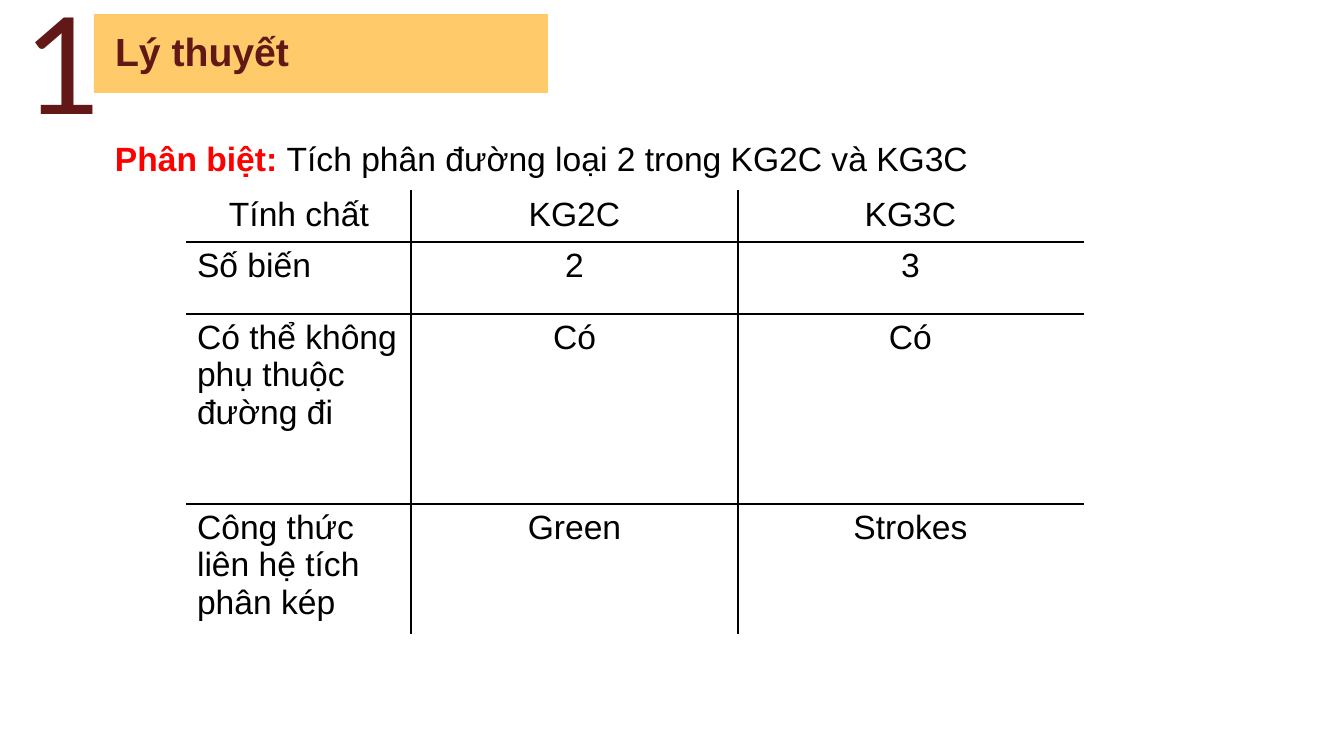
from dataclasses import dataclass

from lxml import etree
from pptx import Presentation
from pptx.dml.color import RGBColor
from pptx.enum.shapes import MSO_SHAPE
from pptx.enum.text import MSO_ANCHOR, MSO_AUTO_SIZE, PP_ALIGN
from pptx.oxml.ns import qn
from pptx.util import Emu, Pt

RECTANGLE = MSO_SHAPE.RECTANGLE
TOP = MSO_ANCHOR.TOP
GROW = MSO_AUTO_SIZE.SHAPE_TO_FIT_TEXT
LEFT, CENTER = PP_ALIGN.LEFT, PP_ALIGN.CENTER
TITLE_ONLY = 5
PX_PER_INCH = 100.8


@dataclass(frozen=True)
class Theme:
    band: str = "FFCB6A"
    heading: str = "611817"
    accent: str = "FF0000"
    ink: str = "000000"
    font: str = "Arial"
    number_font: str = "Lato"
    number_size: int = 96
    title_size: int = 28
    body_size: int = 24
    rule_width: int = 1


def px(length):
    return Emu(round(length * 914400 / PX_PER_INCH))


class SlideBuilder:
    def __init__(self, deck, theme):
        self.theme = theme
        self.page = deck.slides.add_slide(deck.slide_layouts[TITLE_ONLY])

    def style(self, span, size, color, bold=False, font=None):
        span.font.name = font or self.theme.font
        span.font.size = Pt(size)
        span.font.bold = bold
        span.font.color.rgb = RGBColor.from_string(color)

    def fit(self, box, wrap):
        frame = box.text_frame
        frame.word_wrap = wrap
        frame.auto_size = GROW
        frame.vertical_anchor = TOP
        return frame.paragraphs[0]

    def band(self, *area):
        shape = self.page.shapes.add_shape(RECTANGLE, *map(px, area))
        shape.shadow.inherit = False
        shape.fill.solid()
        shape.fill.fore_color.rgb = RGBColor.from_string(self.theme.band)
        shape.line.fill.background()
        return shape

    def title(self, text, area, behind):
        box = self.page.shapes.title
        box.left, box.top, box.width, box.height = map(px, area)
        box.text_frame.text = text
        para = self.fit(box, wrap=False)
        para.alignment = LEFT
        self.style(para.runs[0], self.theme.title_size, self.theme.heading, bold=True)
        behind.element.addnext(box.element)  # bring the title in front of its band

    def number(self, text, *area):
        box = self.page.shapes.add_textbox(*map(px, area))
        box.text_frame.text = text
        para = self.fit(box, wrap=False)
        self.style(para.runs[0], self.theme.number_size, self.theme.heading,
                   font=self.theme.number_font)

    def lead(self, label, text, *area):
        box = self.page.shapes.add_textbox(*map(px, area))
        para = self.fit(box, wrap=True)
        para.line_spacing = 1.5
        for words, color, bold in ((label, self.theme.accent, True),
                                   (text, self.theme.ink, False)):
            span = para.add_run()
            span.text = words
            self.style(span, self.theme.body_size, color, bold)

    def rule(self, cell, side):
        line = etree.SubElement(cell._tc.get_or_add_tcPr(), qn(f"a:ln{side}"),
                                w=str(Pt(self.theme.rule_width)))
        fill = etree.SubElement(line, qn("a:solidFill"))
        etree.SubElement(fill, qn("a:srgbClr"), val=self.theme.ink)

    def table(self, rows, left, top, widths, heights):
        frame = self.page.shapes.add_table(
            len(rows), len(widths), px(left), px(top), px(sum(widths)), px(sum(heights)))
        table = frame.table
        table.first_row = table.horz_banding = False
        for column, width in zip(table.columns, widths):
            column.width = px(width)
        for row, height in zip(table.rows, heights):
            row.height = px(height)
        last_row, last_column = len(rows) - 1, len(widths) - 1
        for i, texts in enumerate(rows):
            for j, text in enumerate(texts):
                cell = table.cell(i, j)
                cell.text = text
                para = cell.text_frame.paragraphs[0]
                para.alignment = LEFT if i and not j else CENTER
                self.style(para.runs[0], self.theme.body_size, self.theme.ink)
                # Only the inner edges are ruled
                inner = {"L": j > 0, "R": j < last_column, "T": i > 0, "B": i < last_row}
                for side, ruled in inner.items():
                    if ruled:
                        self.rule(cell, side)
                cell.fill.background()


def main():
    deck = Presentation()
    deck.slide_width, deck.slide_height = px(1344), px(756)
    slide = SlideBuilder(deck, Theme())

    # Heading: band, section number and title
    band = slide.band(94, 14, 454, 79)
    slide.number("1", 15, -25, 71, 173)
    slide.title("Lý thuyết", (105, 22, 202, 57), behind=band)

    # Comparison of the two spaces
    slide.lead("Phân biệt: ", "Tích phân đường loại 2 trong KG2C và KG3C",
               105, 113, 1059, 63)
    slide.table(
        [("Tính chất", "KG2C", "KG3C"),
         ("Số biến", "2", "3"),
         ("Có thể không phụ thuộc đường đi", "Có", "Có"),
         ("Công thức liên hệ tích phân kép", "Green", "Strokes")],
        187, 191, widths=(224, 327, 345), heights=(51, 72, 190, 131))

    deck.save("out.pptx")


if __name__ == "__main__":
    main()
